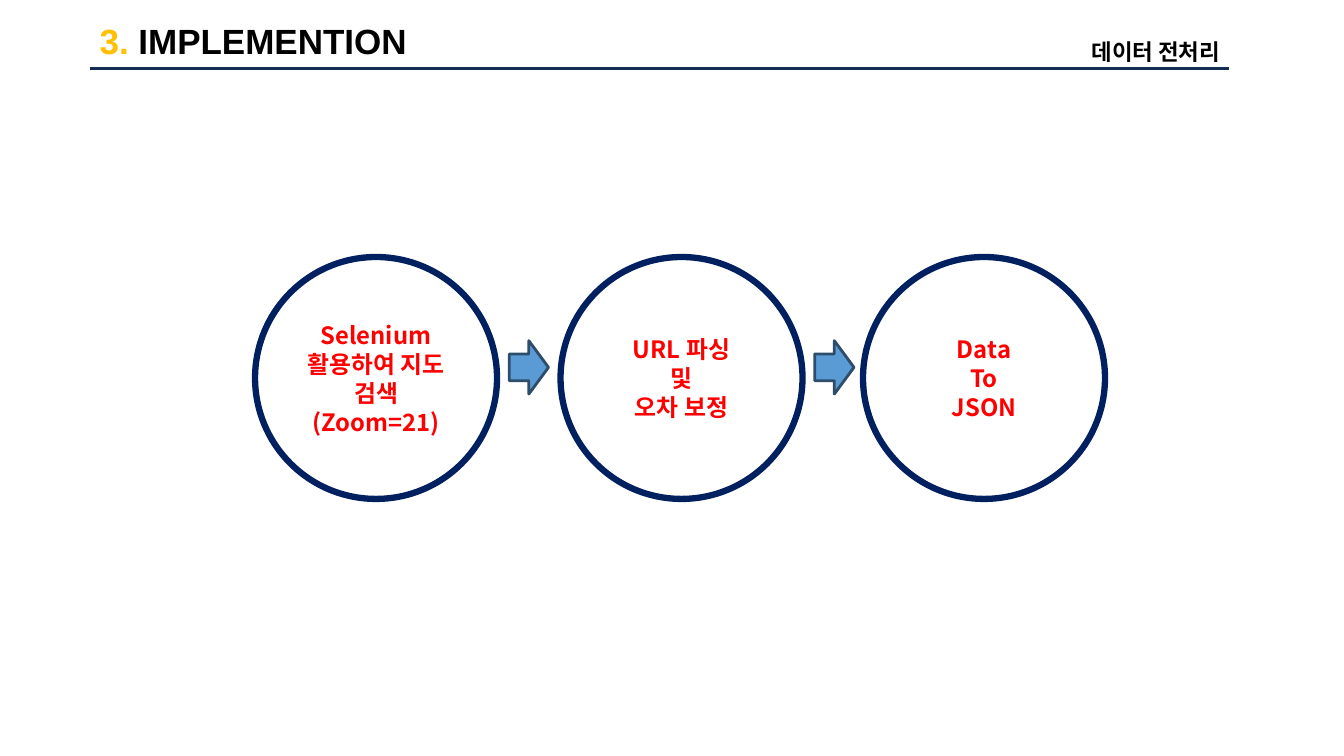
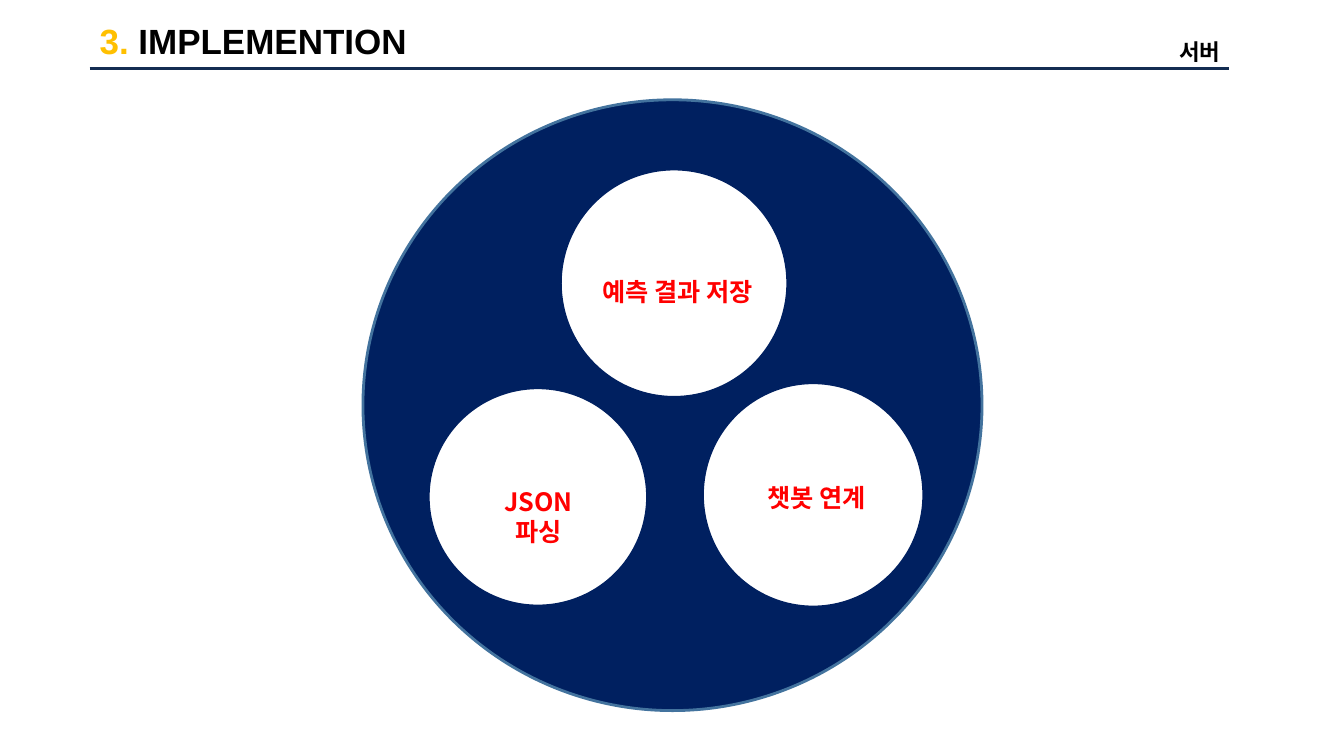
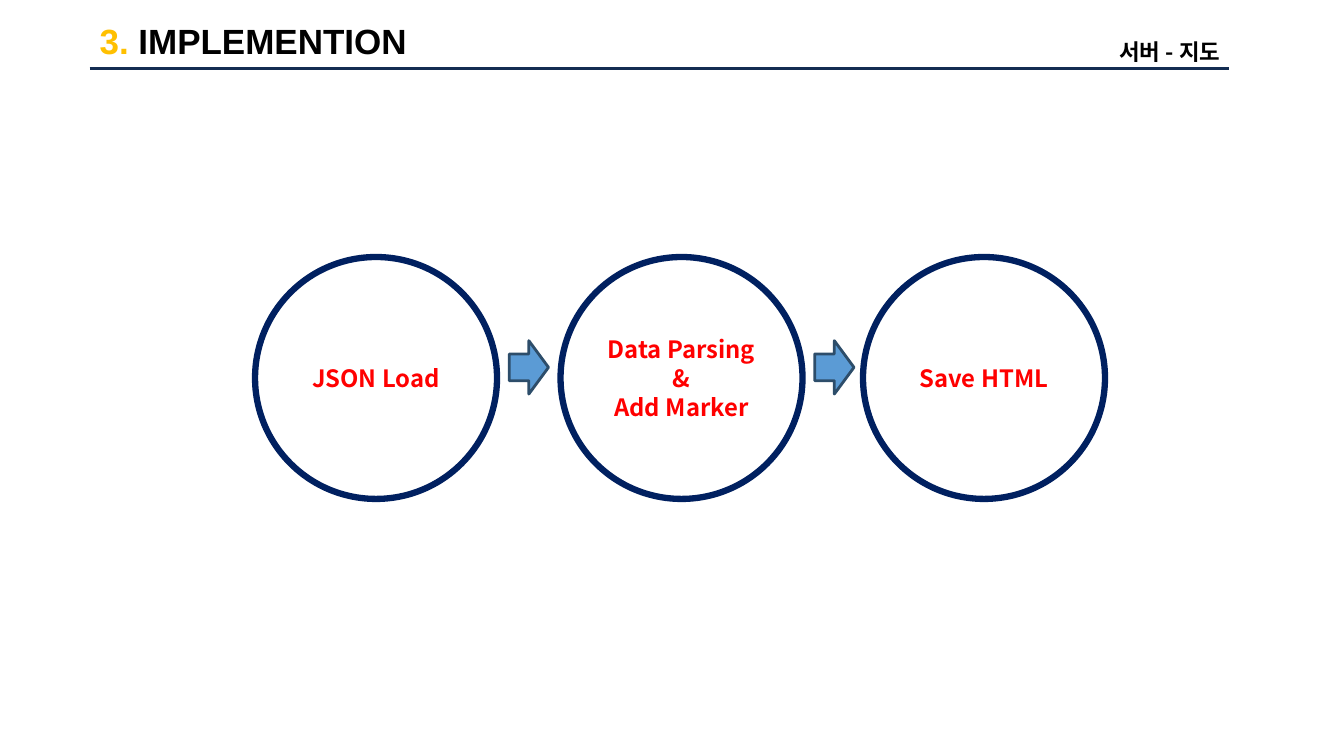
from pptx import Presentation
from pptx.dml.color import RGBColor
from pptx.enum.shapes import MSO_CONNECTOR as Link, MSO_SHAPE as Kind
from pptx.enum.text import MSO_ANCHOR as Anchor, PP_ALIGN as Align
from pptx.oxml.ns import qn
from pptx.util import Inches, Pt
from lxml.etree import SubElement

# Shared style
NAVY, WHITE, BLACK, RED, GOLD = "002060", "FFFFFF", "000000", "FF0000", "FFC000"
RULE, BLUE, EDGE, RIM = "142D52", "5B9BD5", "2D4D6A", "43739E"
LATIN, HANGUL = "Arial", "Noto Sans CJK KR"

# Flow of three steps
STEPS = (2.53, 5.56, 8.56)
STEP_TOP, STEP_SIZE = 2.55, 2.4


def color(code):
    return RGBColor.from_string(code)


def add_run(para, text, size, ink, face=HANGUL):
    run = para.add_run()
    run.text = text
    font = run.font
    font.name, font.size, font.bold = face, Pt(size), True
    font.color.rgb = color(ink)
    SubElement(font._element, qn("a:ea")).set("typeface", face)


def add_lines(frame, lines, size, ink, pitch, align=Align.CENTER):
    """Write one paragraph per line, with a fixed line pitch in points."""
    for i, line in enumerate(lines):
        para = frame.add_paragraph() if i else frame.paragraphs[0]
        para.alignment = align
        para.line_spacing = Pt(pitch)
        add_run(para, line, size, ink)


def add_box(slide, x, y, w, h, wrap=True):
    box = slide.shapes.add_textbox(Inches(x), Inches(y), Inches(w), Inches(h))
    box.text_frame.word_wrap = wrap
    return box.text_frame


def add_form(slide, kind, x, y, w, h, fill, line, width):
    form = slide.shapes.add_shape(kind, Inches(x), Inches(y), Inches(w), Inches(h))
    form.shadow.inherit = False
    form.fill.solid()
    form.fill.fore_color.rgb = color(fill)
    form.line.color.rgb = color(line)
    form.line.width = Pt(width)
    return form


def add_head(slide, topic):
    # Section title
    para = add_box(slide, 0.89, 0.14, 3.26, 0.76).paragraphs[0]
    add_run(para, "3. ", 25, GOLD, LATIN)
    add_run(para, "IMPLEMENTION", 25, BLACK, LATIN)
    # Topic at the right
    add_lines(add_box(slide, 9.66, 0.18, 2.54, 0.49), [topic], 16, BLACK, 30, Align.RIGHT)
    # Rule below
    rule = slide.shapes.add_connector(
        Link.STRAIGHT, Inches(0.89), Inches(0.68), Inches(12.19), Inches(0.68))
    rule.line.color.rgb = color(RULE)
    rule.line.width = Pt(2.25)
    SubElement(rule._element.spPr, qn("a:effectLst"))


def add_flow(slide, steps):
    for x, lines in zip(STEPS, steps):
        ring = add_form(slide, Kind.OVAL, x, STEP_TOP, STEP_SIZE, STEP_SIZE, WHITE, NAVY, 4.5)
        frame = ring.text_frame
        frame.word_wrap = True
        frame.vertical_anchor = Anchor.MIDDLE
        add_lines(frame, lines, 17, RED, 20.7)
    # Arrow after each step but the last
    for x in STEPS[:-1]:
        add_form(slide, Kind.RIGHT_ARROW, x + STEP_SIZE + 0.12, 3.38, 0.39, 0.53, BLUE, EDGE, 2)


def add_hub(slide):
    add_form(slide, Kind.OVAL, 3.6, 0.99, 6.14, 6.06, NAVY, RIM, 2)
    # Inner circle and its label
    parts = (
        ((4.23, 3.83, 2.21, 2.2), (4.62, 4.78, 1.44, 0.4), ["JSON", "파싱"]),
        ((5.54, 1.66, 2.29, 2.3), (5.77, 2.69, 1.9, 0.4), ["예측 결과 저장"]),
        ((6.95, 3.78, 2.23, 2.26), (7.45, 4.74, 1.3, 0.4), ["챗봇 연계"]),
    )
    for disc, label, lines in parts:
        add_form(slide, Kind.OVAL, *disc, WHITE, NAVY, 4.5)
        add_lines(add_box(slide, *label, wrap=False), lines, 18, RED, 21.5)


def main():
    deck = Presentation()
    deck.slide_width, deck.slide_height = Inches(13.33), Inches(7.5)

    def add_slide(topic):
        slide = deck.slides.add_slide(deck.slide_layouts[6])
        add_head(slide, topic)
        return slide

    add_flow(add_slide("데이터 전처리"), (
        ["Selenium", "활용하여 지도 검색", "(Zoom=21)"],
        ["URL 파싱", "및", "오차 보정"],
        ["Data", "To", "JSON"],
    ))
    add_hub(add_slide("서버"))
    add_flow(add_slide("서버 - 지도"), (
        ["JSON Load"],
        ["Data Parsing", "&", "Add Marker"],
        ["Save HTML"],
    ))
    deck.save("out.pptx")


if __name__ == "__main__":
    main()
